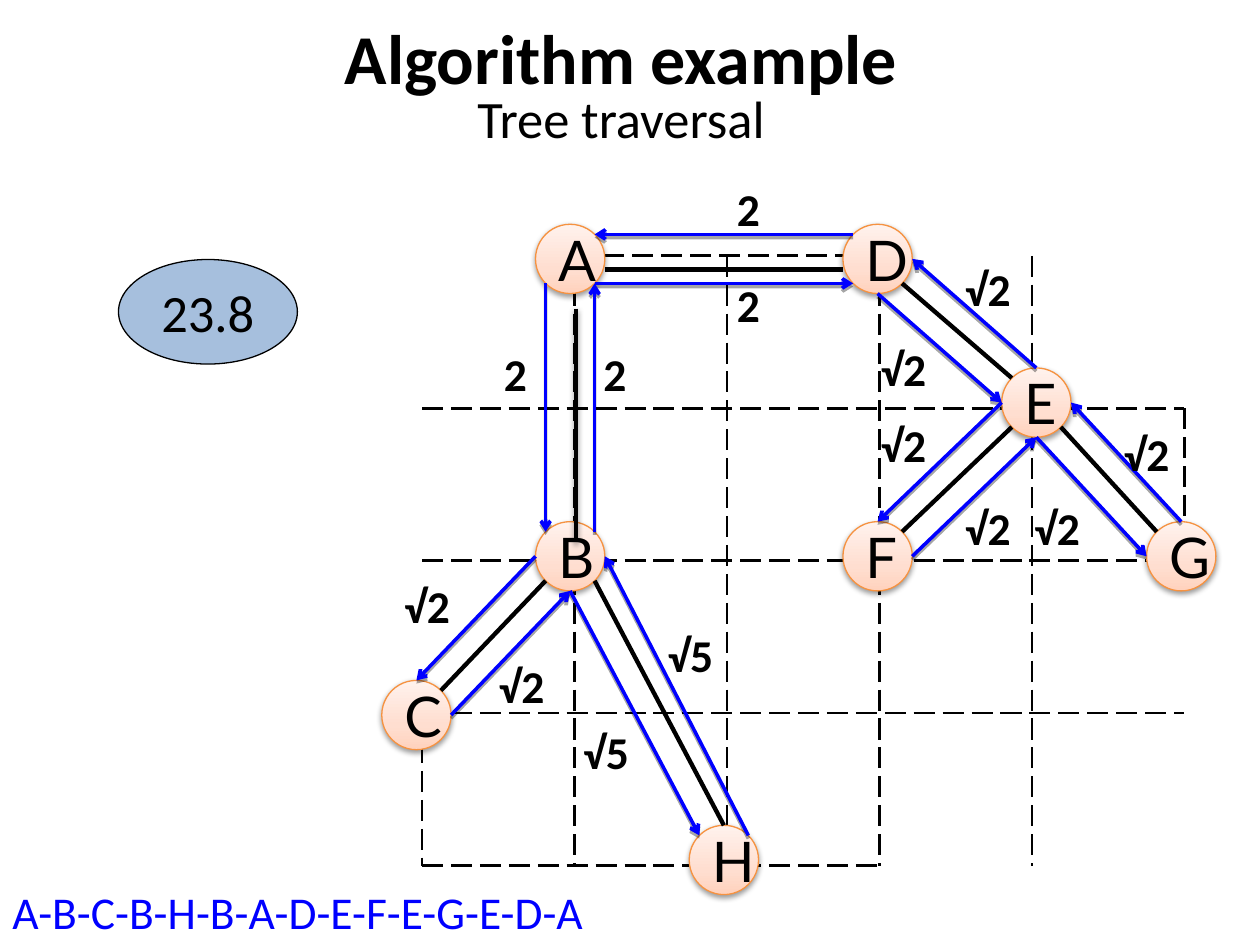
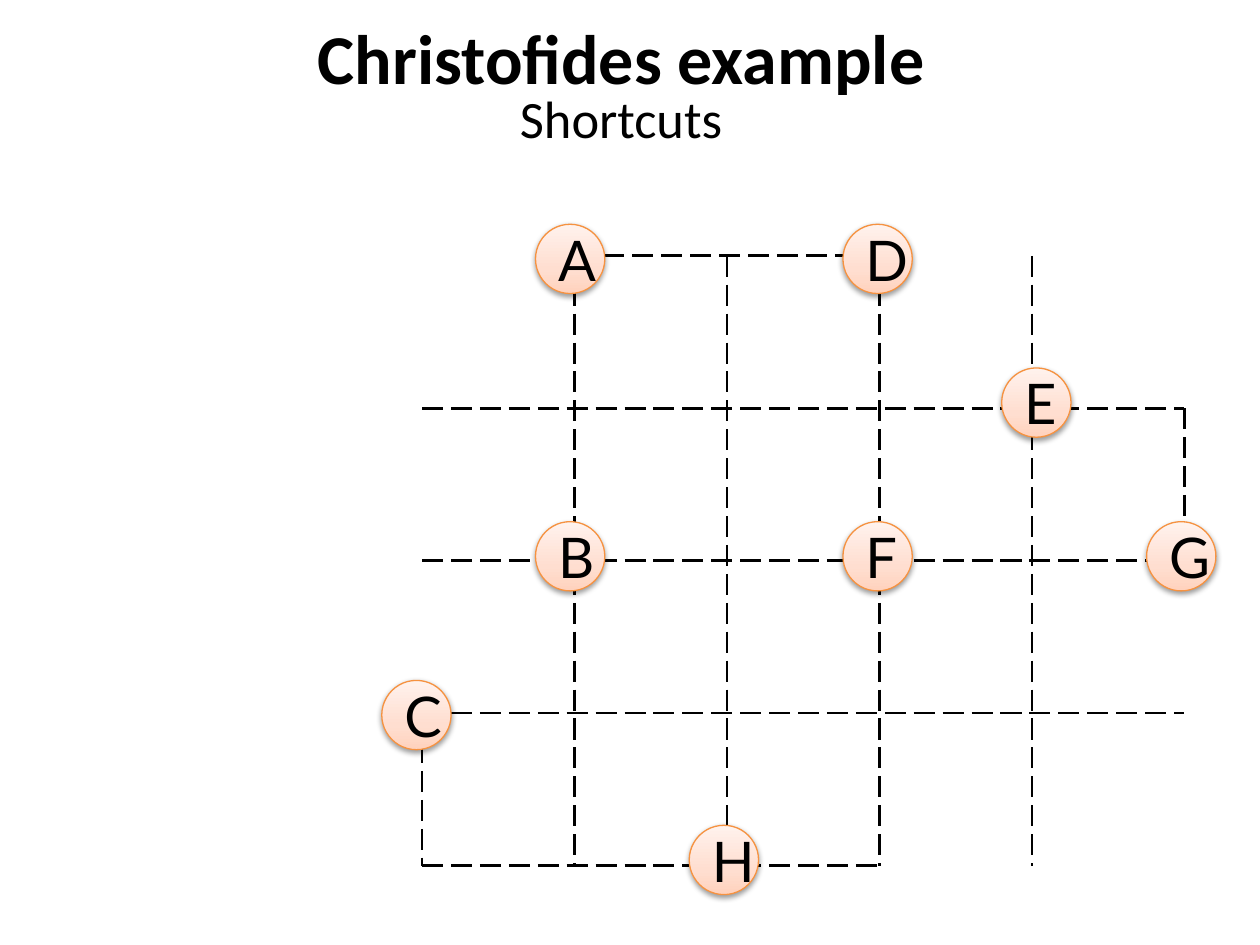
from copy import deepcopy
from math import cos, radians, sin

from lxml import etree
from pptx import Presentation
from pptx.dml.color import RGBColor
from pptx.enum import dml, shapes, text
from pptx.oxml.ns import qn
from pptx.util import Inches, Pt

COLORS = {
    "ink": "000000",
    "tour": "0000FF",
    "node_line": "F69240",
    "node_low": "FFD2BD",
    "node_mid": "FFDED0",
    "node_high": "FFF2ED",
    "total": "4F81BD",
}
NODE_STOPS = [(0, "node_low"), (0.35, "node_mid"), (1, "node_high")]
# blur and distance in points, opacity in percent
SOFT_SHADOW = (3.15, 1.57, 38)
HARD_SHADOW = (0, 1.81, 35)

GRID_LEFT, GRID_TOP, GRID_STEP = 3.35, 2.03, 1.21
# column and row of both ends
GRID_LINES = [((col, 0), (col, 4)) for col in (1, 2, 3, 4)]
GRID_LINES += [((0, row), (5, row)) for row in (1, 2, 3)]
GRID_LINES += [((0, 3), (0, 4)), ((5, 1), (5, 2)), ((1, 0), (3, 0)), ((0, 4), (3, 4))]

NODE_SIZE = 0.55
NODES = {
    "A": (4.25, 1.78), "D": (6.69, 1.78), "E": (7.95, 2.92), "G": (9.1, 4.14),
    "F": (6.69, 4.14), "H": (5.47, 6.55), "C": (3.03, 5.4), "B": (4.25, 4.14),
}
COMPASS = {side: 45 * i for i, side in enumerate(("E", "SE", "S", "SW", "W", "NW", "N", "NE"))}

# node and side at each end
TREE_EDGES = [
    ("B", "SW", "C", "NE"), ("E", "SW", "F", "NE"), ("B", "SE", "H", "N"),
    ("D", "SE", "E", "NW"), ("E", "SE", "G", "NW"),
]
TOUR_STEPS = [
    ("A", "SW", "B", "NW"), ("B", "W", "C", "N"), ("A", "SE", "D", "SW"),
    ("D", "NW", "A", "NE"), ("B", "NE", "A", "SE"), ("H", "NE", "B", "E"),
    ("B", "S", "H", "NW"), ("C", "E", "B", "S"), ("D", "S", "E", "W"),
    ("G", "N", "E", "E"), ("E", "W", "F", "N"), ("F", "E", "E", "S"),
    ("E", "S", "G", "W"), ("E", "N", "D", "E"),
]
LENGTHS = {
    "2": [(3.9, 2.7), (4.69, 2.7), (5.75, 1.39), (5.75, 2.15)],
    "√2": [(3.11, 4.54), (3.86, 5.17), (6.89, 3.26), (7.56, 3.92),
           (8.82, 3.33), (8.11, 3.92), (7.56, 2.02), (6.89, 2.66)],
    "√5": [(5.2, 4.93), (4.53, 5.7)],
}


def rgb(name):
    return RGBColor.from_string(COLORS[name])


def set_shadow(shape, shadow=None):
    """Call after fill and line are set; without a shadow the list stays empty."""
    effects = etree.SubElement(shape._element.spPr, qn("a:effectLst"))
    if shadow:
        blur, distance, opacity = shadow
        outer = etree.SubElement(effects, qn("a:outerShdw"), blurRad=str(Pt(blur)),
                                 dist=str(Pt(distance)), dir="5400000", rotWithShape="0")
        color = etree.SubElement(outer, qn("a:srgbClr"), val=COLORS["ink"])
        etree.SubElement(color, qn("a:alpha"), val=str(opacity * 1000))


def add_run(p, content, size, font="Calibri", color="ink", bold=False):
    r = p.add_run()
    r.text = content
    r.font.size = Pt(size)
    r.font.name = font
    r.font.bold = bold
    r.font.color.rgb = rgb(color)


def add_line(parent, start, end, width, color="ink", dash=None, arrow=False, shadow=None):
    ends = [Inches(v) for v in (*start, *end)]
    line = parent.shapes.add_connector(shapes.MSO_CONNECTOR.STRAIGHT, *ends)
    line.line.color.rgb = rgb(color)
    line.line.width = Pt(width)
    if dash:
        line.line.dash_style = dash
    if arrow:
        etree.SubElement(line.line._get_or_add_ln(), qn("a:tailEnd"), type="arrow")
    set_shadow(line, shadow)


def add_oval(parent, left, top, width, height, content, line="ink", wrap=True, **fmt):
    sp = parent.shapes.add_shape(shapes.MSO_SHAPE.OVAL, *map(Inches, (left, top, width, height)))
    sp.line.color.rgb = rgb(line)
    sp.line.width = Pt(0.75)
    tf = sp.text_frame
    tf.word_wrap = wrap
    tf.vertical_anchor = text.MSO_ANCHOR.MIDDLE
    p = tf.paragraphs[0]
    p.alignment = text.PP_ALIGN.CENTER
    add_run(p, content, **fmt)
    return sp


def add_node(parent, name):
    sp = add_oval(parent, *NODES[name], NODE_SIZE, NODE_SIZE, name,
                  line="node_line", size=32, font="Lato")
    sp.fill.gradient()
    sp.fill.gradient_angle = 90
    stop_list = sp._element.spPr.find(".//" + qn("a:gsLst"))
    stop_list.append(deepcopy(stop_list[0]))
    for stop, (position, color) in zip(sp.fill.gradient_stops, NODE_STOPS):
        stop.position = position
        stop.color.rgb = rgb(color)
    set_shadow(sp, SOFT_SHADOW)


def add_label(s, left, top, width, content, **fmt):
    tf = s.shapes.add_textbox(*map(Inches, (left, top, width, 0.53))).text_frame
    tf.word_wrap = False
    tf.auto_size = text.MSO_AUTO_SIZE.SHAPE_TO_FIT_TEXT
    add_run(tf.paragraphs[0], content, 26, **fmt)


def add_title(s, title, subtitle):
    tf = s.shapes.add_textbox(*map(Inches, (0.43, 0.17, 9, 1.06))).text_frame
    tf.word_wrap = True
    tf.vertical_anchor = text.MSO_ANCHOR.BOTTOM
    p = tf.paragraphs[0]
    p.alignment = text.PP_ALIGN.CENTER
    p.line_spacing = 0.8
    add_run(p, title, 40, bold=True)
    p.add_line_break()
    add_run(p, subtitle, 30)


def grid_point(col, row):
    return GRID_LEFT + col * GRID_STEP, GRID_TOP + row * GRID_STEP


def node_point(name, side):
    """Point on the node's rim in a compass direction."""
    left, top = NODES[name]
    radius, angle = NODE_SIZE / 2, radians(COMPASS[side])
    return left + radius * (1 + cos(angle)), top + radius * (1 + sin(angle))


def add_graph_slide(prs, title, subtitle):
    s = prs.slides.add_slide(prs.slide_layouts[6])
    graph = s.shapes.add_group_shape()
    for start, end in GRID_LINES:
        add_line(graph, grid_point(*start), grid_point(*end), 1.5,
                 dash=dml.MSO_LINE.LONG_DASH)
    for name in NODES:
        add_node(graph, name)
    add_title(s, title, subtitle)
    return s


def add_tree(s):
    add_line(s, (4.57, 2.45), (4.57, 4.3), 2.5, shadow=SOFT_SHADOW)
    add_line(s, (4.8, 2.14), (6.69, 2.14), 2.5)
    for a, a_side, b, b_side in TREE_EDGES:
        add_line(s, node_point(a, a_side), node_point(b, b_side), 2.5)


def add_tour(s):
    for a, a_side, b, b_side in TOUR_STEPS:
        add_line(s, node_point(a, a_side), node_point(b, b_side), 2,
                 color="tour", arrow=True, shadow=HARD_SHADOW)
    add_label(s, 0, 6.97, 5.33, "A-B-C-B-H-B-A-D-E-F-E-G-E-D-A", color="tour")


def add_total(s, total):
    sp = add_oval(s, 0.94, 2.06, 1.42, 0.83, total, wrap=False, size=30)
    sp.fill.solid()
    sp.fill.fore_color.rgb = rgb("total")
    color = sp._element.spPr.find(qn("a:solidFill"))[0]
    etree.SubElement(color, qn("a:alpha"), val="50000")
    set_shadow(sp)


def add_lengths(s):
    for length, places in LENGTHS.items():
        width = 0.43 if length == "2" else 0.63
        for left, top in places:
            add_label(s, left, top, width, length, bold=True)


def main():
    prs = Presentation()
    prs.slide_width, prs.slide_height = Inches(10), Inches(7.5)

    traversal = add_graph_slide(prs, "Algorithm example", "Tree traversal")
    add_tree(traversal)
    add_tour(traversal)
    add_total(traversal, "23.8")
    add_lengths(traversal)

    add_graph_slide(prs, "Christofides example", "Shortcuts")
    prs.save("out.pptx")


if __name__ == "__main__":
    main()
